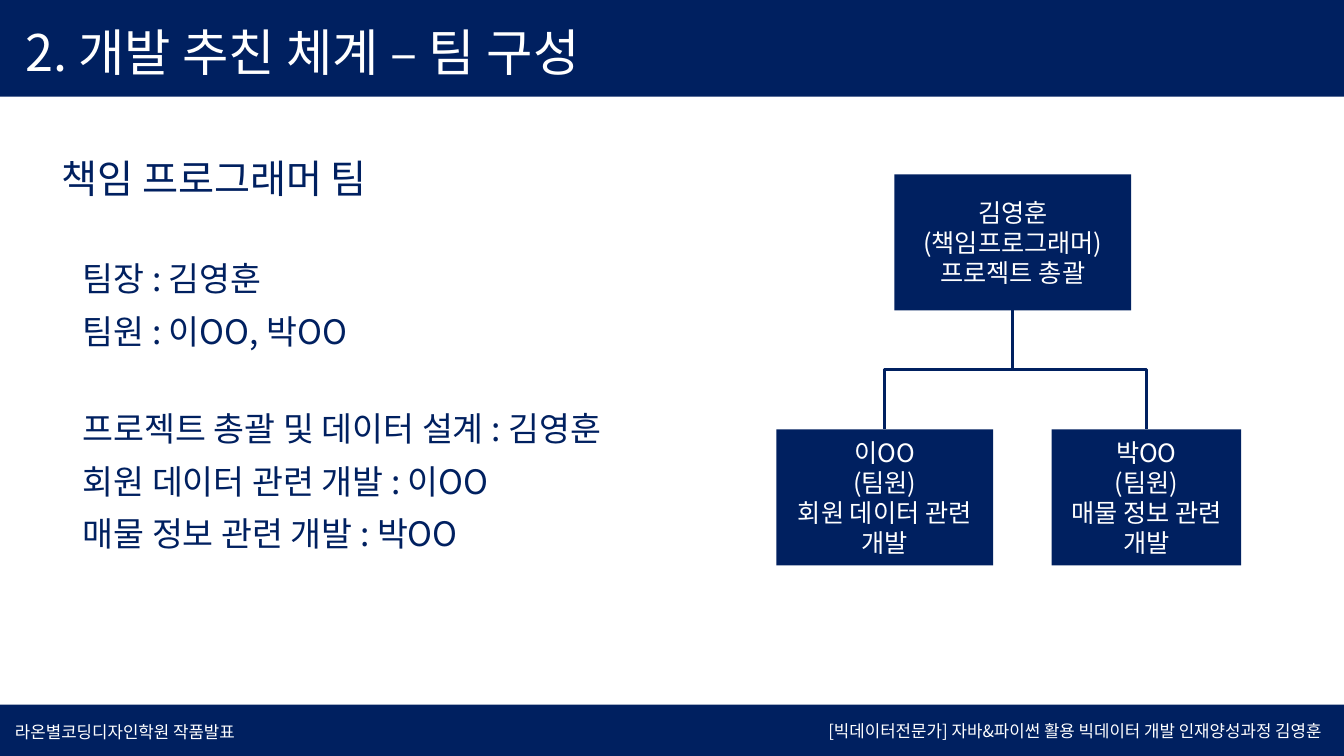
from lxml.etree import SubElement
from pptx import Presentation
from pptx.dml.color import RGBColor
from pptx.enum.shapes import MSO_CONNECTOR, MSO_SHAPE
from pptx.enum.text import MSO_ANCHOR, MSO_AUTO_SIZE, PP_ALIGN
from pptx.oxml.ns import qn
from pptx.util import Inches, Pt

NAVY = RGBColor(0x00, 0x20, 0x60)
WHITE = RGBColor(0xFF, 0xFF, 0xFF)
FONT = "Noto Sans CJK KR"


def write(shape, lines, size, color, align=PP_ALIGN.LEFT, spacing=1.0, anchor=MSO_ANCHOR.TOP):
    frame = shape.text_frame
    frame.text = "\n".join(lines)
    frame.word_wrap = True
    frame.auto_size = MSO_AUTO_SIZE.NONE
    frame.vertical_anchor = anchor
    for para in frame.paragraphs:
        para.alignment = align
        para.line_spacing = spacing
        para.space_before = Pt(0)
        para.font.size = Pt(size)
        para.font.name = FONT
        para.font.color.rgb = color
        SubElement(para.font._element, qn("a:ea"), typeface=FONT)


def add_block(left, top, width, height):
    block = page.shapes.add_shape(
        MSO_SHAPE.RECTANGLE, Inches(left), Inches(top), Inches(width), Inches(height))
    block.shadow.inherit = False
    block.fill.solid()
    block.fill.fore_color.rgb = NAVY
    block.line.fill.background()
    return block


deck = Presentation()
deck.slide_width, deck.slide_height = Inches(13.33), Inches(7.5)
page = deck.slides.add_slide(deck.slide_layouts.get_by_name("Two Content"))
title, team_list, role_list = page.placeholders

header = add_block(0, 0, 13.33, 0.96)
title.element.addprevious(header.element)
add_block(0, 6.99, 13.33, 0.51)

title.left, title.top, title.width, title.height = map(Inches, (0.15, 0.16, 6.09, 0.71))
write(title, ["2. 개발 추친 체계 – 팀 구성"], 36, WHITE)

lists = [
    (team_list, 2.39, 3.15, 1.15, ["팀장 : 김영훈", "팀원 : 이OO, 박OO"]),
    (role_list, 3.88, 5.72, 1.68, ["프로젝트 총괄 및 데이터 설계 : 김영훈",
                                   "회원 데이터 관련 개발 : 이OO",
                                   "매물 정보 관련 개발 : 박OO"]),
]
for body, top, width, height, lines in lists:
    body.left, body.top, body.width, body.height = map(Inches, (0.72, top, width, height))
    write(body, lines, 24, NAVY, spacing=1.3)
    for para in body.text_frame.paragraphs:
        properties = para._p.get_or_add_pPr()
        properties.set("marL", "0")
        properties.set("indent", "0")
        properties.find(qn("a:defRPr")).addprevious(SubElement(properties, qn("a:buNone")))

labels = [
    (0.51, 1.48, 3.44, 0.57, "책임 프로그래머 팀", 28, NAVY, PP_ALIGN.LEFT),
    (0.05, 7.11, 2.51, 0.3, "라온별코딩디자인학원 작품발표", 12, WHITE, PP_ALIGN.LEFT),
    (7.84, 7.1, 5.37, 0.3, "[빅데이터전문가] 자바&파이썬 활용 빅데이터 개발 인재양성과정 김영훈",
     12, WHITE, PP_ALIGN.RIGHT),
]
for left, top, width, height, text, size, color, align in labels:
    box = page.shapes.add_textbox(Inches(left), Inches(top), Inches(width), Inches(height))
    write(box, [text], size, color, align)
    box.text_frame.word_wrap = False

members = [
    (8.87, 1.73, 2.35, ["김영훈", "(책임프로그래머)", "프로젝트 총괄"]),
    (7.7, 4.26, 2.15, ["이OO", "(팀원)", "회원 데이터 관련 개발"]),
    (10.43, 4.26, 1.88, ["박OO", "(팀원)", "매물 정보 관련 개발"]),
]
for left, top, width, lines in members:
    block = add_block(left, top, width, 1.35)
    write(block, lines, 18, WHITE, PP_ALIGN.CENTER, anchor=MSO_ANCHOR.MIDDLE)

leader_x, leader_bottom, member_top = 10.04, 3.08, 4.26
drop = member_top - leader_bottom
middle_y = (leader_bottom + member_top) / 2
for member_x, degrees in [(8.77, 90), (11.37, 270)]:
    middle_x = (leader_x + member_x) / 2
    reach = abs(member_x - leader_x)
    side = 1 if member_x < leader_x else -1
    link = page.shapes.add_connector(
        MSO_CONNECTOR.ELBOW,
        Inches(middle_x - side * drop / 2), Inches(middle_y - reach / 2),
        Inches(middle_x + side * drop / 2), Inches(middle_y + reach / 2))
    link.line.color.rgb = NAVY
    link.line.width = Pt(2)
    properties = link.element.spPr
    properties.find(qn("a:xfrm")).set("rot", str(degrees * 60000))
    SubElement(properties, qn("a:effectLst"))

deck.save("out.pptx")
